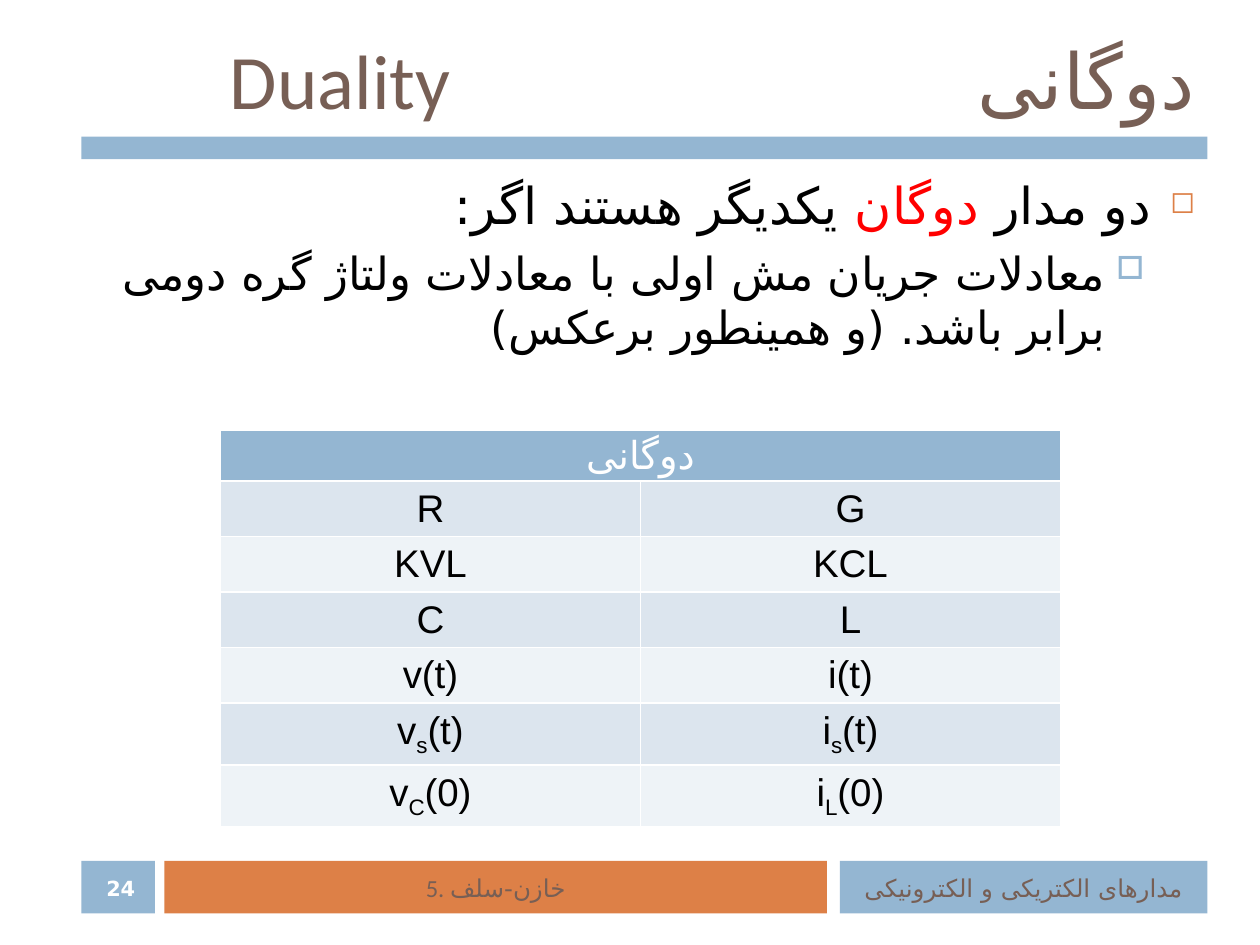
from pptx import Presentation
from pptx.dml.color import RGBColor
from pptx.enum.shapes import MSO_SHAPE
from pptx.enum.text import MSO_ANCHOR, PP_ALIGN
from pptx.oxml.ns import qn
from pptx.util import Pt
from lxml import etree

RECTANGLE = MSO_SHAPE.RECTANGLE
MIDDLE, TOP = MSO_ANCHOR.MIDDLE, MSO_ANCHOR.TOP
CENTER, RIGHT = PP_ALIGN.CENTER, PP_ALIGN.RIGHT

PERSIAN_FACE = "DejaVu Sans"
BULLET_FACE = "OpenSymbol"

BLUE = RGBColor(0x94, 0xB6, 0xD2)
ORANGE = RGBColor(0xDD, 0x80, 0x47)
BROWN = RGBColor(0x77, 0x5F, 0x55)
BLACK = RGBColor(0, 0, 0)
RED = RGBColor(0xFF, 0, 0)
WHITE = RGBColor(0xFF, 0xFF, 0xFF)
BAND_DARK = RGBColor(0xDC, 0xE5, 0xEE)
BAND_LIGHT = RGBColor(0xEE, 0xF3, 0xF7)

# Each entry is (base, subscript, rest)
DUAL_PAIRS = [
    (("R", "", ""), ("G", "", "")),
    (("KVL", "", ""), ("KCL", "", "")),
    (("C", "", ""), ("L", "", "")),
    (("v(t)", "", ""), ("i(t)", "", "")),
    (("v", "s", "(t)"), ("i", "s", "(t)")),
    (("v", "C", "(0)"), ("i", "L", "(0)")),
]


def add_element(parent, tag, **attributes):
    return etree.SubElement(parent, qn(tag), attributes)


def style(paragraph, size, color, align, face="Calibri", rtl=False, bold=False):
    paragraph.alignment = align
    if rtl:
        paragraph._p.get_or_add_pPr().set("rtl", "1")
    font = paragraph.font
    font.name, font.size, font.bold = face, Pt(size), bold
    font.color.rgb = color
    # Persian text takes its face from the complex-script font
    add_element(font._element, "a:cs", typeface=PERSIAN_FACE)


def add_bar(slide, box, color):
    bar = slide.shapes.add_shape(RECTANGLE, *map(Pt, box))
    bar.shadow.inherit = False
    bar.fill.solid()
    bar.fill.fore_color.rgb = color
    bar.line.fill.background()
    return bar


def add_text_frame(slide, box, anchor):
    frame = slide.shapes.add_textbox(*map(Pt, box)).text_frame
    frame.word_wrap = True
    frame.vertical_anchor = anchor
    return frame


def add_title(slide, box):
    left, top, width, height = box
    add_bar(slide, (left - 1.5, top + 60, width + 1.5, 13), BLUE)
    heading = add_text_frame(slide, box, MIDDLE).paragraphs[0]
    heading.text = "دوگانی\tDuality"
    tabs = add_element(heading._p.get_or_add_pPr(), "a:tabLst")
    add_element(tabs, "a:tab", pos=str(Pt(551.5)), algn="l")
    style(heading, 44, BROWN, RIGHT, rtl=True)


def add_bullet(paragraph, char, color, percent, margin, indent):
    properties = paragraph._p.get_or_add_pPr()
    properties.set("marL", str(Pt(margin)))
    properties.set("indent", str(Pt(-indent)))
    bullet_color = add_element(properties, "a:buClr")
    add_element(bullet_color, "a:srgbClr", val=str(color))
    add_element(properties, "a:buSzPct", val=str(percent * 1000))
    add_element(properties, "a:buFont", typeface=BULLET_FACE)
    add_element(properties, "a:buChar", char=char)


def add_body(slide, box):
    frame = add_text_frame(slide, box, TOP)
    condition = frame.paragraphs[0]
    for text in ("دو مدار ", "دوگان", " یکدیگر هستند اگر:"):
        condition.add_run().text = text
    add_bullet(condition, "◻", ORANGE, 60, 25.2, 25.2)
    style(condition, 29, BLACK, RIGHT, rtl=True)
    condition.runs[1].font.color.rgb = RED

    detail = frame.add_paragraph()
    detail.text = ("معادلات جریان مش اولی با معادلات ولتاژ گره دومی "
                   "برابر باشد. (و همینطور برعکس)")
    detail.level = 1
    detail.space_before = Pt(5.5)
    add_bullet(detail, "□", BLUE, 70, 50.4, 21.6)
    style(detail, 26, BLACK, RIGHT, rtl=True)


def fill_cell(cell, color, margin):
    cell.vertical_anchor = MIDDLE
    cell.margin_top = cell.margin_bottom = Pt(margin)
    properties = cell._tc.get_or_add_tcPr()
    for side in "LRTB":
        border = add_element(properties, f"a:ln{side}", w=str(Pt(1)))
        fill = add_element(border, "a:solidFill")
        add_element(fill, "a:srgbClr", val=str(WHITE))
    cell.fill.solid()
    cell.fill.fore_color.rgb = color


def add_dual_table(slide, box):
    row_count = len(DUAL_PAIRS) + 1
    table = slide.shapes.add_table(row_count, 2, *map(Pt, box)).table
    table.horz_banding = False
    for row in table.rows:
        row.height = Pt(box[3] / row_count)

    header = table.cell(0, 0)
    header.merge(table.cell(0, 1))
    header.text = "دوگانی"
    for column in range(2):
        fill_cell(table.cell(0, column), BLUE, margin=0)
    style(header.text_frame.paragraphs[0], 22, WHITE, CENTER, "Arial")

    for row, pair in enumerate(DUAL_PAIRS, 1):
        for column, (base, subscript, rest) in enumerate(pair):
            cell = table.cell(row, column)
            fill_cell(cell, BAND_DARK if row % 2 else BAND_LIGHT, margin=2.65)
            quantity = cell.text_frame.paragraphs[0]
            for text in filter(None, (base, subscript, rest)):
                quantity.add_run().text = text
            if subscript:
                quantity.runs[1].font._element.set("baseline", "-25000")
            style(quantity, 22, BLACK, CENTER, "Arial")


def add_footer(slide, box):
    left, top, width, height = box
    add_bar(slide, (left, top, 42, height), BLUE)
    labels = [
        ("مدارهای الکتریکی و الکترونیکی", left + width - 210, 210, BLUE),
        ("5. خازن-سلف", left + 47.5, 378.5, ORANGE),
    ]
    for text, x, label_width, color in labels:
        bar = add_bar(slide, (x, top, label_width, height), color)
        bar.text_frame.vertical_anchor = MIDDLE
        label = bar.text_frame.paragraphs[0]
        label.text = text
        style(label, 14, BROWN, CENTER)
    number_box = (left + 1.5, top + 6, 42, 19.5)
    number = add_text_frame(slide, number_box, MIDDLE).paragraphs[0]
    number.text = "24"
    style(number, 11.9, WHITE, CENTER, rtl=True, bold=True)


def main():
    presentation = Presentation()
    presentation.slide_width, presentation.slide_height = Pt(720), Pt(540)
    slide = presentation.slides.add_slide(presentation.slide_layouts[6])
    add_title(slide, (48, 18, 642, 54))
    add_body(slide, (48, 96, 642, 384))
    add_footer(slide, (46.5, 492, 643.5, 30))
    add_dual_table(slide, (126, 246, 480, 203))
    presentation.save("out.pptx")


if __name__ == "__main__":
    main()
